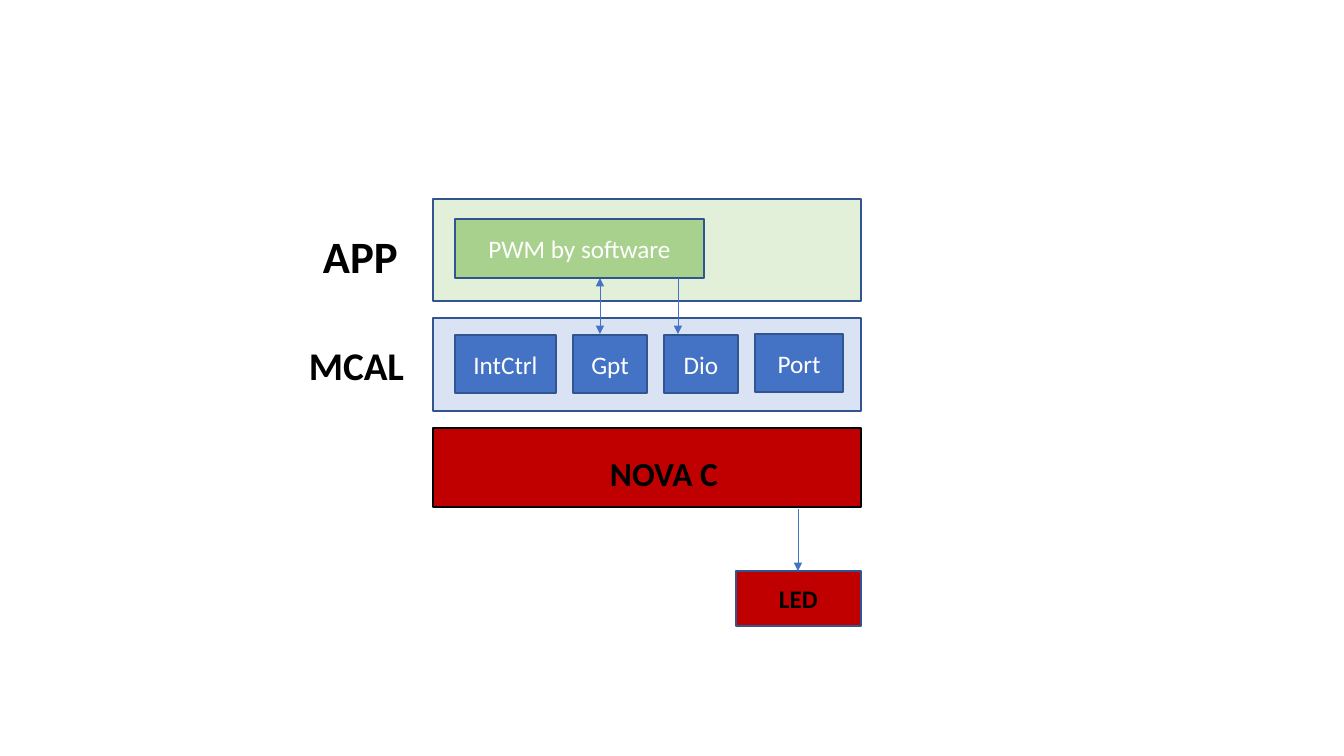
"""Draw the layered software architecture of a PWM application driving an LED."""
from dataclasses import dataclass

from lxml.etree import SubElement
from pptx import Presentation
from pptx.dml.color import RGBColor
from pptx.enum.shapes import MSO_CONNECTOR, MSO_SHAPE
from pptx.enum.text import MSO_ANCHOR, MSO_AUTO_SIZE, PP_ALIGN
from pptx.oxml.ns import qn
from pptx.util import Emu, Pt

PIXELS_PER_INCH = 100.8
FONT = "Calibri"
COLOURS = {
    "red": "C00000",
    "black": "000000",
    "white": "FFFFFF",
    "navy": "325491",
    "blue": "4472C4",
    "pale blue": "DAE3F3",
    "green": "A9D18E",
    "pale green": "E2F0D9",
}


@dataclass(frozen=True)
class Block:
    left: int
    top: int
    width: int
    height: int
    fill: str
    text: str = ""
    outline: str = "navy"


@dataclass(frozen=True)
class Label:
    left: int
    top: int
    width: int
    height: int
    text: str
    size: int
    wrap: bool = False


@dataclass(frozen=True)
class Arrow:
    x: int
    top: int
    bottom: int
    ends: tuple[str, ...] = ("tailEnd",)


LAYER_LEFT, LAYER_WIDTH = 433, 428
MODULE_LEFT, MODULE_TOP, MODULE_HEIGHT, MODULE_GAP = 455, 335, 58, 17

LAYERS = [
    Block(LAYER_LEFT, 428, LAYER_WIDTH, 79, "red", outline="black"),
    Block(736, 571, 125, 55, "red"),
    Block(LAYER_LEFT, 318, LAYER_WIDTH, 93, "pale blue"),
    Block(LAYER_LEFT, 199, LAYER_WIDTH, 102, "pale green"),
    Block(MODULE_LEFT, 219, 249, 59, "green", "PWM by software"),
]
MODULES = [("IntCtrl", 101, 0), ("Gpt", 74, 0), ("Dio", 74, 0), ("Port", 88, -1)]
LABELS = [
    Label(600, 448, 143, 50, "NOVA C", 24, wrap=True),
    Label(769, 578, 59, 40, "LED", 18),
    Label(299, 336, 117, 57, "MCAL", 28),
    Label(313, 224, 96, 65, "APP", 32),
]
ARROWS = [
    Arrow(798, 509, 571),
    Arrow(600, 278, 334, ("headEnd", "tailEnd")),
    Arrow(678, 278, 334),
]


def pixels(length: int) -> Emu:
    return Emu(round(length * 914400 / PIXELS_PER_INCH))


def colour(name: str) -> RGBColor:
    return RGBColor.from_string(COLOURS[name])


def write(frame, text: str, *, size: int, ink: str, bold: bool = False,
          align=PP_ALIGN.LEFT) -> None:
    paragraph = frame.paragraphs[0]
    paragraph.alignment = align
    span = paragraph.add_run()
    span.text = text
    span.font.name = FONT
    span.font.size = Pt(size)
    span.font.bold = bold
    span.font.color.rgb = colour(ink)


def draw_block(page, block: Block) -> None:
    box = page.shapes.add_shape(
        MSO_SHAPE.RECTANGLE,
        *map(pixels, (block.left, block.top, block.width, block.height)))
    box.shadow.inherit = False
    box.fill.solid()
    box.fill.fore_color.rgb = colour(block.fill)
    box.line.color.rgb = colour(block.outline)
    box.line.width = Pt(1)
    if block.text:
        box.text_frame.vertical_anchor = MSO_ANCHOR.MIDDLE
        write(box.text_frame, block.text, size=18, ink="white", align=PP_ALIGN.CENTER)


def draw_modules(page) -> None:
    left = MODULE_LEFT
    for name, width, shift in MODULES:
        draw_block(page, Block(left, MODULE_TOP + shift, width, MODULE_HEIGHT,
                               "blue", name))
        left += width + MODULE_GAP


def draw_label(page, label: Label) -> None:
    box = page.shapes.add_textbox(
        *map(pixels, (label.left, label.top, label.width, label.height)))
    box.text_frame.word_wrap = label.wrap
    box.text_frame.auto_size = MSO_AUTO_SIZE.SHAPE_TO_FIT_TEXT
    write(box.text_frame, label.text, size=label.size, ink="black", bold=True)


def draw_arrow(page, arrow: Arrow) -> None:
    connector = page.shapes.add_connector(
        MSO_CONNECTOR.STRAIGHT,
        *map(pixels, (arrow.x, arrow.top, arrow.x, arrow.bottom)))
    connector.line.color.rgb = colour("blue")
    connector.line.width = Pt(0.5)
    outline = connector.line._get_or_add_ln()
    for end in arrow.ends:
        SubElement(outline, qn(f"a:{end}"), type="triangle")
    SubElement(connector._element.spPr, qn("a:effectLst"))


def main() -> None:
    deck = Presentation()
    deck.slide_width, deck.slide_height = pixels(1344), pixels(756)
    page = deck.slides.add_slide(deck.slide_layouts[6])
    for layer in LAYERS:
        draw_block(page, layer)
    draw_modules(page)
    for label in LABELS:
        draw_label(page, label)
    for arrow in ARROWS:
        draw_arrow(page, arrow)
    deck.save("out.pptx")


main()
